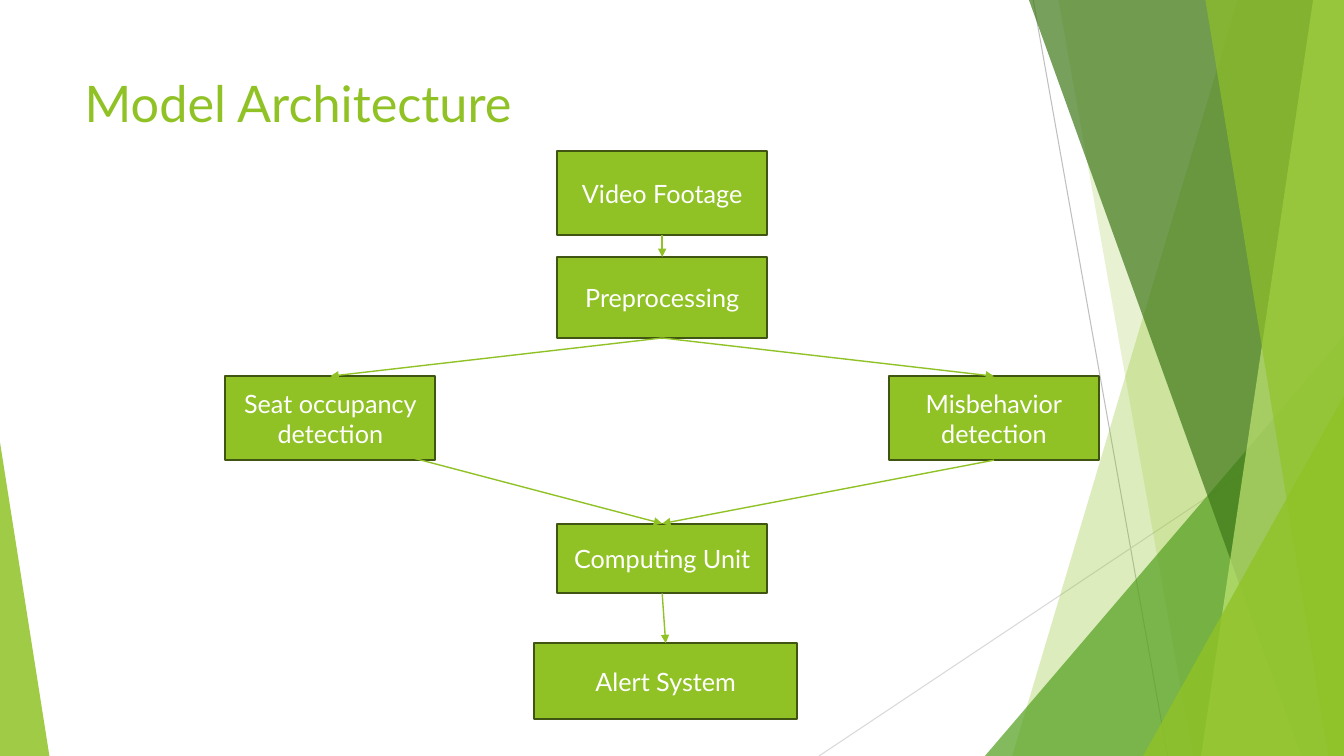
import pptx
import pptx.util
import pptx.dml.color
import pptx.enum.shapes
import pptx.enum.text
import pptx.oxml.ns
import lxml.etree

Pt = pptx.util.Pt
SHAPES = pptx.enum.shapes.MSO_SHAPE
ANCHOR = pptx.enum.text.MSO_ANCHOR
ALIGN = pptx.enum.text.PP_ALIGN
W, H = 960, 540
TOP, LEFT, BOTTOM, RIGHT = range(4)


class Deck:
    """Holds the style and the current slide, and draws each kind of element."""

    colors = {"green": "90C226", "leaf": "54A021", "forest": "3F7819", "lime": "C0E474",
              "edge": "3F5511", "white": "FFFFFF", "gray": "BFBFBF", "silver": "D9D9D9"}
    font = "Lato"

    def __init__(self, prs):
        self.s = prs.slides.add_slide(prs.slide_layouts[5])

    def rgb(self, name):
        return pptx.dml.color.RGBColor.from_string(self.colors[name])

    def sub(self, parent, tag, **attrs):
        return lxml.etree.SubElement(parent, pptx.oxml.ns.qn(tag), **attrs)

    def style_text(self, tf, size, color, align, anchor):
        tf.word_wrap = True
        tf.vertical_anchor = anchor
        for p in tf.paragraphs:
            p.alignment = align
            for r in p.runs:
                r.font.name = self.font
                r.font.size = Pt(size)
                r.font.color.rgb = self.rgb(color)

    def fill(self, sp, color, opacity=100):
        sp.shadow.inherit = False
        sp.fill.solid()
        sp.fill.fore_color.rgb = self.rgb(color)
        if opacity < 100:
            clr = sp.fill._xPr.find(".//" + pptx.oxml.ns.qn("a:srgbClr"))
            self.sub(clr, "a:alpha", val=str(opacity * 1000))

    def title(self, text, x, y, w, h):
        sp = self.s.shapes.title
        sp.left, sp.top, sp.width, sp.height = Pt(x), Pt(y), Pt(w), Pt(h)
        tf = sp.text_frame
        tf.text = text
        tf.auto_size = pptx.enum.text.MSO_AUTO_SIZE.NONE
        self.style_text(tf, 36, "green", ALIGN.LEFT, ANCHOR.TOP)

    def band(self, top_left, top_right, bottom_left, color, opacity):
        fb = self.s.shapes.build_freeform(Pt(top_left), 0)
        fb.add_line_segments([(Pt(x), Pt(y)) for x, y in
                              ((top_right, 0), (W, H), (bottom_left, H))])
        sp = fb.convert_to_shape()
        self.fill(sp, color, opacity)
        sp.line.fill.background()

    def triangle(self, x, y, w, apex, color, opacity):
        sp = self.s.shapes.add_shape(SHAPES.ISOSCELES_TRIANGLE, Pt(x), Pt(y), Pt(w), Pt(H - y))
        sp.adjustments[0] = apex
        self.fill(sp, color, opacity)
        sp.line.fill.background()

    def box(self, text, center, y, h, w=150):
        sp = self.s.shapes.add_shape(SHAPES.RECTANGLE, Pt(center - w / 2), Pt(y), Pt(w), Pt(h))
        self.fill(sp, "green")
        sp.line.color.rgb = self.rgb("edge")
        sp.line.width = Pt(1.5)
        sp.text_frame.text = text
        self.style_text(sp.text_frame, 18, "white", ALIGN.CENTER, ANCHOR.MIDDLE)
        return sp

    def line(self, x1, y1, x2, y2, color, width):
        cx = self.s.shapes.add_connector(pptx.enum.shapes.MSO_CONNECTOR.STRAIGHT,
                                         Pt(x1), Pt(y1), Pt(x2), Pt(y2))
        cx.line.color.rgb = self.rgb(color)
        cx.line.width = Pt(width)
        self.sub(cx._element.spPr, "a:effectLst")
        return cx

    def arrow(self, target, source=None, start=(0, 0)):
        cx = self.line(*start, target.left.pt, target.top.pt, "green", 1)
        if source is not None:
            cx.begin_connect(source, BOTTOM)
        cx.end_connect(target, TOP)
        self.sub(cx.line._get_or_add_ln(), "a:tailEnd", type="triangle")


def main():
    prs = pptx.Presentation()
    prs.slide_width, prs.slide_height = Pt(W), Pt(H)
    deck = Deck(prs)

    deck.line(738, 0, 834, H, "gray", 0.75)
    deck.line(W, 290, 585, H, "silver", 0.75)
    deck.band(884, W, 723, "green", 30)
    deck.band(756, W, 852, "green", 20)
    deck.triangle(703.5, 240, 256.5, 1, "leaf", 72)
    deck.band(735, W, 929.5, "forest", 70)
    deck.band(938, W, 858, "lime", 70)
    deck.band(861, W, 949, "green", 65)
    deck.triangle(816.5, 283, 143.5, 1, "green", 80)
    deck.triangle(0, 316, 35.3, 0, "green", 85)

    deck.title("Model Architecture", 53.3, 48, 677, 104)

    middle, spread = 473, 237
    video = deck.box("Video Footage", middle, 108, 60)
    prep = deck.box("Preprocessing", middle, 183.6, 57.8)
    seat = deck.box("Seat occupancy\vdetection", middle - spread, 268.7, 60)
    misbehavior = deck.box("Misbehavior\vdetection", middle + spread, 268.7, 60)
    unit = deck.box("Computing Unit", middle, 374, 49.8)
    alert = deck.box("Alert System", 475.5, 459.4, 54.4, w=188)

    deck.arrow(prep, video)
    deck.arrow(seat, prep)
    deck.arrow(misbehavior, prep)
    deck.arrow(unit, start=(264, 319))
    deck.arrow(unit, misbehavior)
    deck.arrow(alert, unit)

    prs.save("out.pptx")


if __name__ == "__main__":
    main()
